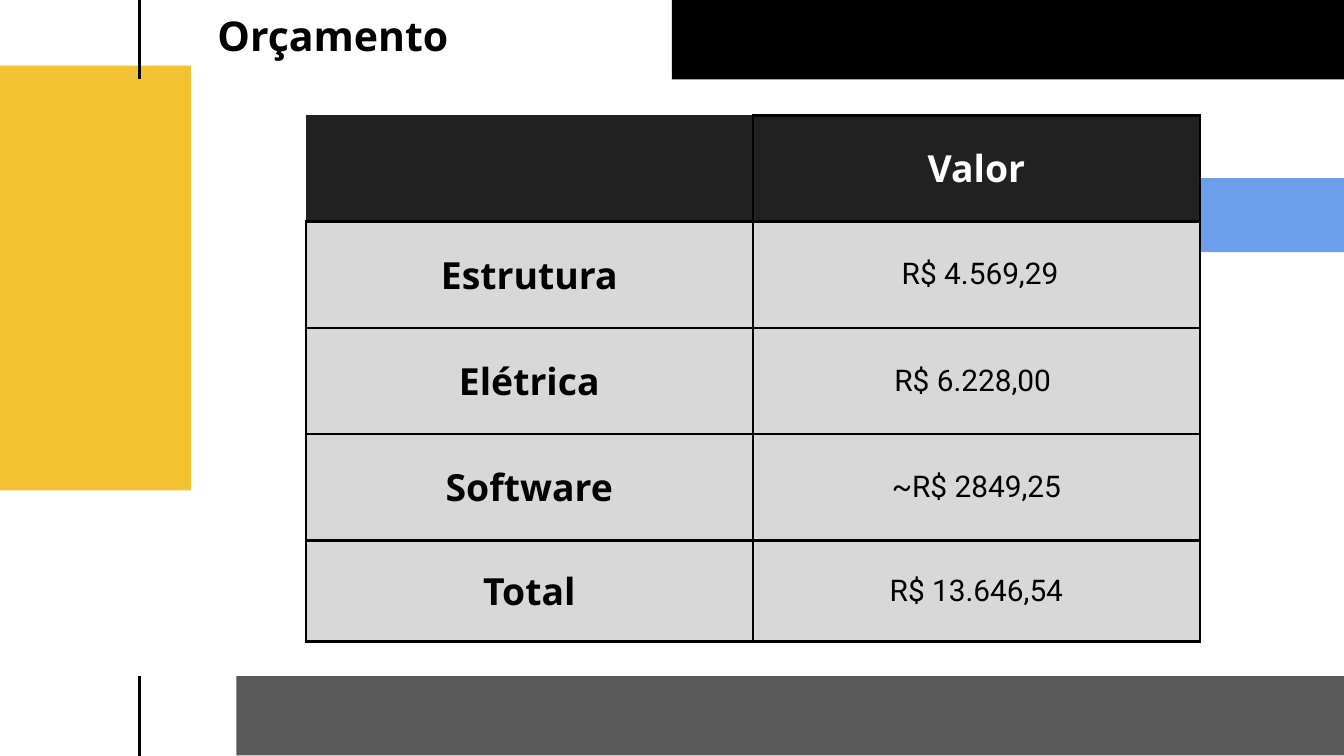
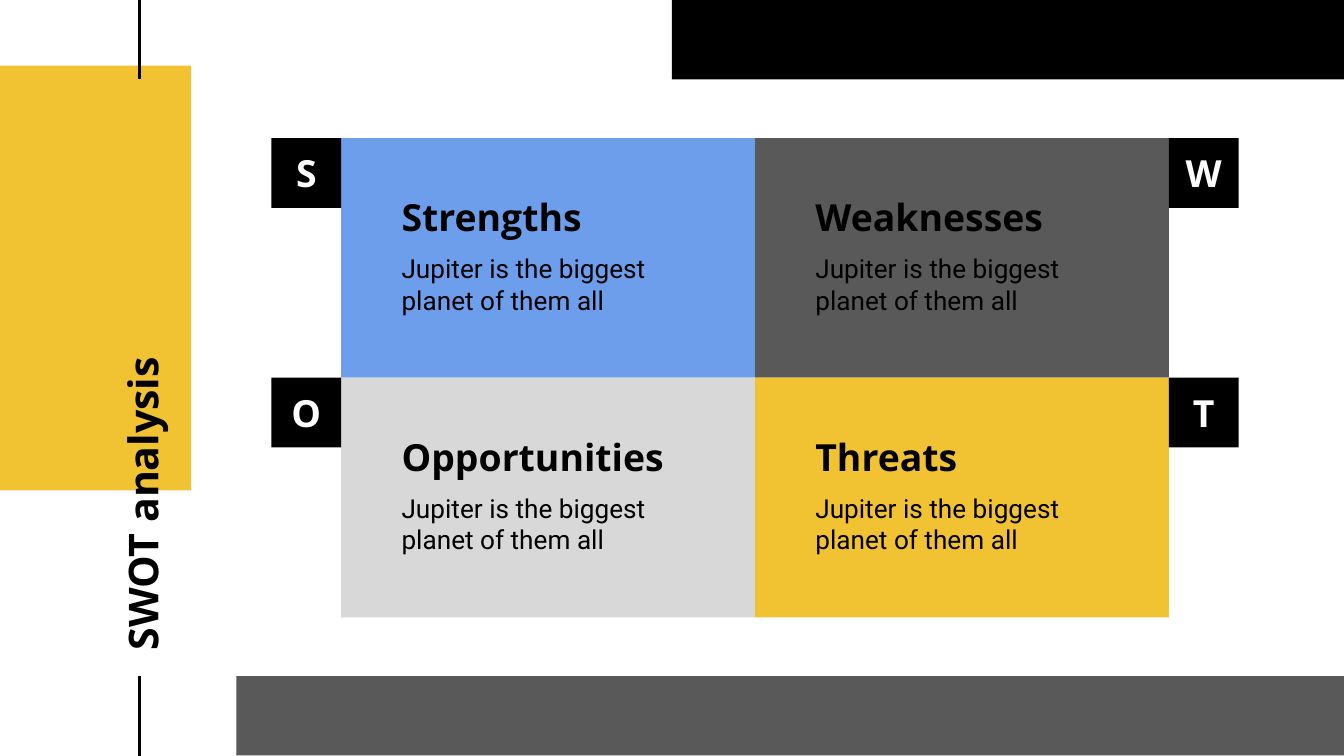
from itertools import product

from lxml.etree import SubElement
from pptx import Presentation
from pptx.dml.color import RGBColor
from pptx.enum.shapes import MSO_CONNECTOR as Connector, MSO_SHAPE as Shape
from pptx.enum.text import MSO_ANCHOR as Anchor, PP_ALIGN as Align
from pptx.oxml.ns import qn
from pptx.util import Cm, Pt

COLORS = {
    "black": "000000",
    "white": "FFFFFF",
    "header": "212121",
    "dark": "595959",
    "light": "D8D8D8",
    "yellow": "F1C232",
    "blue": "6D9EEB",
}
HEADING, BODY = "Open Sans", "Roboto"
PADDING = Cm(0.25)
RULE = Pt(1.5)


def rgb(name):
    return RGBColor.from_string(COLORS[name])


class Deck:
    """Holds the shared style and the slide being built."""

    def __init__(self):
        self.prs = Presentation()
        self.prs.slide_width, self.prs.slide_height = Cm(25.4), Cm(14.29)
        self.slide = None

    def new_slide(self):
        self.slide = self.prs.slides.add_slide(self.prs.slide_layouts[6])
        self.block(-1.17, 1.24, 4.78, 8.03, "yellow")
        for top, bottom in ((-3.73, 1.5), (12.78, 18.03)):
            self.vertical_rule(2.64, top, bottom)
        self.block(12.7, 0, 12.7, 1.5, "black")
        self.block(4.47, 12.78, 20.93, 1.5, "dark")

    def block(self, left, top, width, height, color):
        block = self.slide.shapes.add_shape(
            Shape.RECTANGLE, Cm(left), Cm(top), Cm(width), Cm(height))
        block.shadow.inherit = False
        block.fill.solid()
        block.fill.fore_color.rgb = rgb(color)
        block.line.fill.background()
        return block

    def vertical_rule(self, x, top, bottom):
        rule = self.slide.shapes.add_connector(
            Connector.STRAIGHT, Cm(x), Cm(top), Cm(x), Cm(bottom))
        rule.line.color.rgb = rgb("black")
        rule.line.width = RULE
        SubElement(rule._element.spPr, qn("a:effectLst"))

    def set_text(self, frame, text, size, font=HEADING, color="black", align=Align.LEFT):
        frame.word_wrap = True
        paragraph = frame.paragraphs[0]
        paragraph.text = text
        paragraph.alignment = align
        paragraph.font.name = font
        paragraph.font.size = Pt(size)
        paragraph.font.bold = font == HEADING
        paragraph.font.color.rgb = rgb(color)

    def pad(self, holder):
        holder.margin_left = holder.margin_right = PADDING
        holder.margin_top = holder.margin_bottom = PADDING

    def text(self, left, top, width, height, text, size, font=HEADING, anchor=Anchor.MIDDLE):
        box = self.slide.shapes.add_textbox(Cm(left), Cm(top), Cm(width), Cm(height))
        self.pad(box.text_frame)
        box.text_frame.vertical_anchor = anchor
        self.set_text(box.text_frame, text, size, font)
        return box

    def title(self, left, top, text, rotation=0, anchor=Anchor.MIDDLE):
        self.text(left, top, 10.8, 1.32, text, 22, anchor=anchor).rotation = rotation

    def badge(self, left, top, side, letter):
        badge = self.block(left, top, side, side, "black")
        self.pad(badge.text_frame)
        badge.text_frame.vertical_anchor = Anchor.MIDDLE
        self.set_text(badge.text_frame, letter, 20, color="white", align=Align.CENTER)

    def border(self, cell, visible_sides):
        properties = cell._tc.get_or_add_tcPr()
        for side in "LRTB":
            edge = SubElement(properties, qn(f"a:ln{side}"), w=str(RULE))
            if side in visible_sides:
                paint = SubElement(edge, qn("a:solidFill"))
                SubElement(paint, qn("a:srgbClr"), val=COLORS["black"])
            else:
                SubElement(edge, qn("a:noFill"))

    def table(self, left, top, column_width, row_heights, rows):
        columns = len(rows[0])
        table = self.slide.shapes.add_table(
            len(rows), columns, Cm(left), Cm(top),
            Cm(column_width * columns), Cm(sum(row_heights))).table
        table.first_row = table.horz_banding = False
        for column in table.columns:
            column.width = Cm(column_width)
        for row, height in zip(table.rows, row_heights):
            row.height = Cm(height)
        for r, c in product(range(len(rows)), range(columns)):
            cell = table.cell(r, c)
            self.border(cell, "LRTB" if r or c else "RB")
            cell.fill.solid()
            cell.fill.fore_color.rgb = rgb("light" if r else "header")
            self.pad(cell)
            cell.vertical_anchor = Anchor.MIDDLE
            if rows[r][c]:
                is_value = r and c
                self.set_text(cell.text_frame, rows[r][c], 16 if is_value else 20,
                              BODY if is_value else HEADING,
                              "black" if r else "white", Align.CENTER)


def build_budget(deck):
    deck.new_slide()
    deck.block(9.18, 3.37, 16.92, 1.4, "blue")
    budget = [
        ("", "Valor"),
        ("Estrutura", " R$ 4.569,29"),
        ("Elétrica", "R$ 6.228,00 "),
        ("Software", "~R$ 2849,25"),
        ("Total", "R$ 13.646,54"),
    ]
    deck.table(5.78, 2.18, 8.45, [2.01] * 4 + [1.91], budget)
    deck.title(3.86, 0, "Orçamento")


def build_swot(deck):
    deck.new_slide()
    left, top, width, height, badge_side = 6.45, 2.61, 7.82, 4.53, 1.32
    quadrants = [
        ("Strengths", "blue"),
        ("Weaknesses", "dark"),
        ("Opportunities", "light"),
        ("Threats", "yellow"),
    ]
    for (row, column), (heading, color) in zip(product(range(2), repeat=2), quadrants):
        x, y = left + column * width, top + row * height
        deck.block(x, y, width, height, color)
        deck.badge(x + width if column else x - badge_side, y, badge_side, heading[0])
        deck.text(x + 0.89, y + 1.02, 6.02, 0.94, heading, 20)
        deck.text(x + 0.89, y + 2.01, 6.02, 1.5,
                  "Jupiter is the biggest planet of them all", 14, BODY)
    deck.title(-2.77, 6.48, "SWOT analysis", 270, Anchor.TOP)


def main():
    deck = Deck()
    build_budget(deck)
    build_swot(deck)
    deck.prs.save("out.pptx")


if __name__ == "__main__":
    main()
